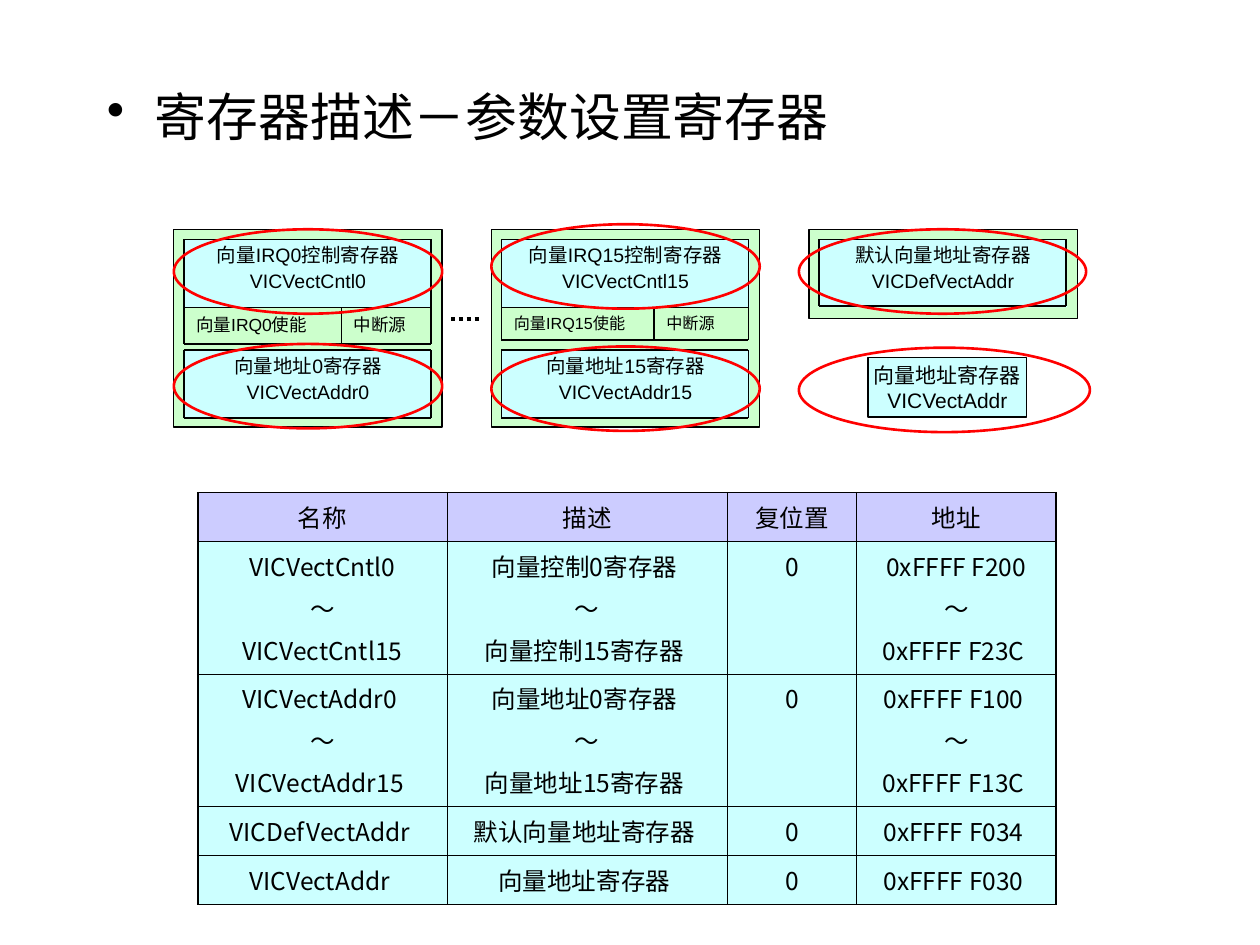
from lxml import etree
from pptx import Presentation
from pptx.dml.color import RGBColor
from pptx.enum import dml, shapes, text
from pptx.oxml import ns
from pptx.util import Inches, Pt

BLACK = RGBColor(0, 0, 0)
RED = RGBColor(0xFF, 0, 0)
GREEN = RGBColor(0xCC, 0xFF, 0xCC)
CYAN = RGBColor(0xCC, 0xFF, 0xFF)
LILAC = RGBColor(0xCC, 0xCC, 0xFF)
CJK_FONT = "Noto Sans CJK SC"
CENTER = text.PP_ALIGN.CENTER

TITLE = "寄存器描述－参数设置寄存器"

# Vectored slots: left edge, number, bottom of the field row, field divider, field text size
SLOTS = [(1.38, "0", 2.73, 2.71, 10), (3.90, "15", 2.70, 5.19, 9.2)]
DEFAULT_LEFT = 6.42
DEFAULT_REGISTER = ["默认向量地址寄存器", "VICDefVectAddr"]
CURRENT_REGISTER = ["向量地址寄存器", "VICVectAddr"]

PANEL_TOP, PANEL_WIDTH, PAD = 1.82, 2.13, 0.08
BOX_WIDTH, BOX_HEIGHT = 1.97, 0.54
CONTROL_TOP, FIELD_TOP, ADDRESS_TOP = 1.90, 2.44, 2.78

# Highlights: left, top, width
ELLIPSES = [(1.38, 2.73, 2.13), (3.90, 2.75, 2.13), (6.34, 1.82, 2.28),
            (6.34, 2.76, 2.31), (1.38, 1.82, 2.13), (3.90, 1.78, 2.13)]
ELLIPSE_HEIGHT = 0.67

COLUMN_WIDTHS = [1.98, 2.22, 1.03, 1.58]
ROW_HEIGHTS = [0.39, 1.05, 1.05, 0.39, 0.39]
TABLE_ROWS = [
    ["名称", "描述", "复位置", "地址"],
    ["VICVectCntl0\n～\nVICVectCntl15", "向量控制0寄存器 \n～\n向量控制15寄存器 ", "0",
     "0xFFFF F200\n～\n0xFFFF F23C "],
    ["VICVectAddr0 \n～\nVICVectAddr15 ", "向量地址0寄存器 \n～\n向量地址15寄存器 ", "0",
     "0xFFFF F100 \n～\n0xFFFF F13C "],
    ["VICDefVectAddr ", "默认向量地址寄存器 ", "0", "0xFFFF F034 "],
    ["VICVectAddr ", "向量地址寄存器 ", "0", "0xFFFF F030 "],
]

presentation = Presentation()
presentation.slide_width, presentation.slide_height = Inches(10), Inches(7.5)
slide = presentation.slides.add_slide(presentation.slide_layouts[6])


def write(frame, lines, size, font="Arial", gap=0, **formats):
    for index, line in enumerate(lines):
        paragraph = frame.paragraphs[0] if index == 0 else frame.add_paragraph()
        for name, value in formats.items():
            setattr(paragraph, name, value)
        if index:
            paragraph.space_before = Pt(gap)
        run = paragraph.add_run()
        run.text = line
        run.font.name, run.font.size = font, Pt(size)
        run.font.color.rgb = BLACK
        east_asian = etree.SubElement(run.font._element, ns.qn("a:ea"))
        east_asian.set("typeface", CJK_FONT)


def add_label(left, top, width, height, lines, size, **formats):
    box = slide.shapes.add_textbox(*map(Inches, (left, top, width, height)))
    box.text_frame.word_wrap = True
    write(box.text_frame, lines, size, **formats)
    return box


def add_box(left, top, width, height, fill=None, line=None, weight=0.75,
            kind=shapes.MSO_SHAPE.RECTANGLE):
    shape = slide.shapes.add_shape(kind, *map(Inches, (left, top, width, height)))
    shape.shadow.inherit = False
    if fill is None:
        shape.fill.background()
    else:
        shape.fill.solid()
        shape.fill.fore_color.rgb = fill
    if line is None:
        shape.line.fill.background()
    else:
        shape.line.color.rgb, shape.line.width = line, Pt(weight)
    return shape


def add_line(x1, y1, x2, y2, weight=1):
    line = slide.shapes.add_connector(
        shapes.MSO_CONNECTOR.STRAIGHT, *map(Inches, (x1, y1, x2, y2)))
    line.line.color.rgb, line.line.width = BLACK, Pt(weight)
    etree.SubElement(line._element.spPr, ns.qn("a:effectLst"))
    return line


def add_register(left, top, lines, bottom):
    """A filled register box, ruled on all sides down to bottom."""
    box = add_box(left, top, BOX_WIDTH, BOX_HEIGHT, CYAN)
    box.text_frame.word_wrap = True
    box.text_frame.vertical_anchor = text.MSO_ANCHOR.TOP
    write(box.text_frame, lines, 11.1, gap=3, alignment=CENTER, line_spacing=0.9)
    right = left + BOX_WIDTH - 0.01
    for y in (top, bottom):
        add_line(left, y, right, y)
    for x in (left, right):
        add_line(x, top, x, bottom)
    return right


# Title with bullet
title = add_label(0.75, 0.68, 8.42, 0.63, [TITLE], 29.6,
                  font="Times New Roman", line_spacing=0.9)
properties = title.text_frame.paragraphs[0]._p.get_or_add_pPr()
properties.set("marL", str(Inches(0.38)))
properties.set("indent", str(-Inches(0.38)))
etree.SubElement(properties, ns.qn("a:buChar")).set("char", "•")

# Dots between the slots
dots = add_line(3.58, 2.53, 3.82, 2.53, 2.25)
dots.line.dash_style = dml.MSO_LINE.ROUND_DOT

# Vectored slots
for panel_left, number, field_bottom, divider, size in SLOTS:
    left = panel_left + PAD
    add_box(panel_left, PANEL_TOP, PANEL_WIDTH, 1.57, GREEN, BLACK)
    right = add_register(left, CONTROL_TOP,
                         [f"向量IRQ{number}控制寄存器", f"VICVectCntl{number}"], field_bottom)
    add_line(left, FIELD_TOP, right, FIELD_TOP)
    add_line(divider, FIELD_TOP, divider, field_bottom)
    for start, end, label in ((left, divider, f"向量IRQ{number}使能"),
                              (divider, right, "中断源")):
        add_label(start, FIELD_TOP, end - start, field_bottom - FIELD_TOP, [label], size)
    add_register(left, ADDRESS_TOP, [f"向量地址{number}寄存器", f"VICVectAddr{number}"],
                 ADDRESS_TOP + BOX_HEIGHT)

# Default and current address registers
add_box(DEFAULT_LEFT, PANEL_TOP, PANEL_WIDTH, 0.71, GREEN, BLACK)
add_register(DEFAULT_LEFT + PAD, CONTROL_TOP, DEFAULT_REGISTER, 2.43)
current = add_box(6.89, 2.84, 1.26, 0.47, CYAN, BLACK)
current.text_frame.word_wrap = False
write(current.text_frame, CURRENT_REGISTER, 12, alignment=CENTER)

# Register table
table = slide.shapes.add_table(
    len(TABLE_ROWS), len(COLUMN_WIDTHS), Inches(1.57), Inches(3.91),
    Inches(sum(COLUMN_WIDTHS)), Inches(sum(ROW_HEIGHTS))).table
for column, width in zip(table.columns, COLUMN_WIDTHS):
    column.width = Inches(width)
for row, height in zip(table.rows, ROW_HEIGHTS):
    row.height = Inches(height)
for r, values in enumerate(TABLE_ROWS):
    for c, value in enumerate(values):
        cell = table.cell(r, c)
        write(cell.text_frame, value.split("\n"), 14, font=CJK_FONT, gap=3.5,
              alignment=CENTER)
        outer = {"lnL": c == 0, "lnR": c == len(values) - 1,
                 "lnT": r == 0, "lnB": r == len(TABLE_ROWS) - 1}
        for side, is_outer in outer.items():
            border = etree.SubElement(cell._tc.get_or_add_tcPr(), ns.qn(f"a:{side}"))
            border.set("w", str(Pt(1.08 if is_outer else 0.45)))
            fill = etree.SubElement(border, ns.qn("a:solidFill"))
            etree.SubElement(fill, ns.qn("a:srgbClr")).set("val", str(BLACK))
        cell.fill.solid()
        cell.fill.fore_color.rgb = CYAN if r else LILAC

# Red highlights
for left, top, width in ELLIPSES:
    add_box(left, top, width, ELLIPSE_HEIGHT, line=RED, weight=1.5,
            kind=shapes.MSO_SHAPE.OVAL)

presentation.save("out.pptx")
